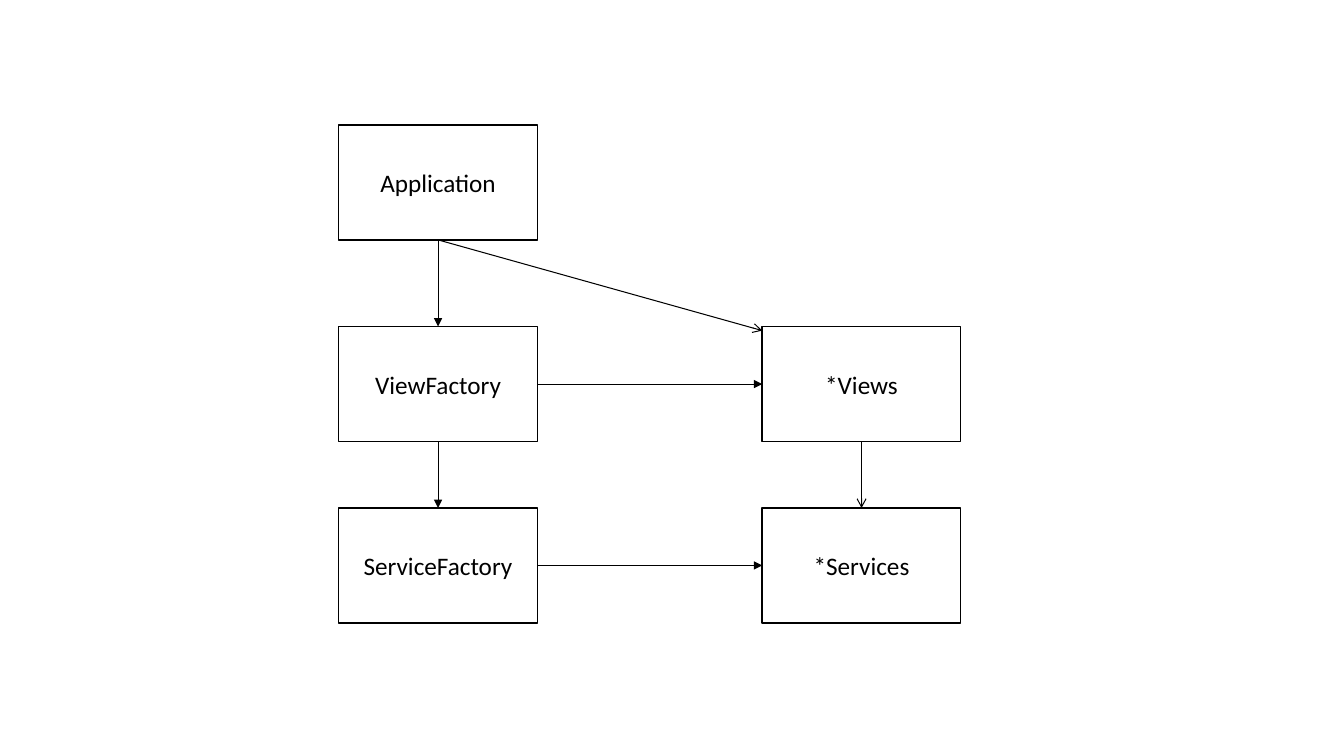
"""Build a slide showing how an application depends on its factories, views and services."""
from lxml import etree
from pptx import Presentation
from pptx.dml.color import RGBColor
from pptx.enum.shapes import MSO_CONNECTOR, MSO_SHAPE
from pptx.enum.text import MSO_ANCHOR, PP_ALIGN
from pptx.oxml.ns import qn
from pptx.util import Inches, Pt

RECTANGLE = MSO_SHAPE.RECTANGLE
STRAIGHT = MSO_CONNECTOR.STRAIGHT
MIDDLE = MSO_ANCHOR.MIDDLE
CENTER = PP_ALIGN.CENTER

COLORS = {"box": "FFFFFF", "ink": "000000"}
TOP, LEFT, BOTTOM, RIGHT = range(4)
COLUMNS = [3.36, 7.56]
ROWS = [1.24, 3.24, 5.04]
BOX_WIDTH, BOX_HEIGHT = 1.97, 1.14

COMPONENTS = [
    ("Application", 0, 0),
    ("ViewFactory", 0, 1),
    ("ServiceFactory", 0, 2),
    ("*Views", 1, 1),
    ("*Services", 1, 2),
]
DEPENDENCIES = [
    ("Application", BOTTOM, "ViewFactory", TOP, 0.5, "triangle"),
    ("ViewFactory", BOTTOM, "ServiceFactory", TOP, 0.5, "triangle"),
    ("ViewFactory", RIGHT, "*Views", LEFT, 0.5, "triangle"),
    ("ServiceFactory", RIGHT, "*Services", LEFT, 0.5, "triangle"),
    ("*Views", BOTTOM, "*Services", TOP, 0.75, "arrow"),
    ("Application", BOTTOM, "*Views", None, 0.75, "arrow"),
]

prs = Presentation()
prs.slide_width, prs.slide_height = Inches(13.33), Inches(7.5)
slide = prs.slides.add_slide(prs.slide_layouts[6])
ink = RGBColor.from_string(COLORS["ink"])

boxes = {}
for name, column, row in COMPONENTS:
    box = slide.shapes.add_shape(
        RECTANGLE, Inches(COLUMNS[column]), Inches(ROWS[row]),
        Inches(BOX_WIDTH), Inches(BOX_HEIGHT))
    box.shadow.inherit = False
    box.fill.solid()
    box.fill.fore_color.rgb = RGBColor.from_string(COLORS["box"])
    box.line.color.rgb = ink
    box.line.width = Pt(1)
    box.text_frame.vertical_anchor = MIDDLE
    label = box.text_frame.paragraphs[0]
    label.text = name
    label.alignment = CENTER
    label.font.name = "Calibri"
    label.font.size = Pt(18)
    label.font.color.rgb = ink
    boxes[name] = box

views_corner = Inches(COLUMNS[1]), Inches(ROWS[1] + 0.04)
for source, source_side, target, target_side, width, head in DEPENDENCIES:
    arrow = slide.shapes.add_connector(STRAIGHT, 0, 0, *views_corner)
    arrow.begin_connect(boxes[source], source_side)
    if target_side is not None:
        arrow.end_connect(boxes[target], target_side)
    arrow.line.color.rgb = ink
    arrow.line.width = Pt(width)
    etree.SubElement(arrow.line._get_or_add_ln(), qn("a:tailEnd"), type=head)
    etree.SubElement(arrow._element.spPr, qn("a:effectLst"))

prs.save("out.pptx")
